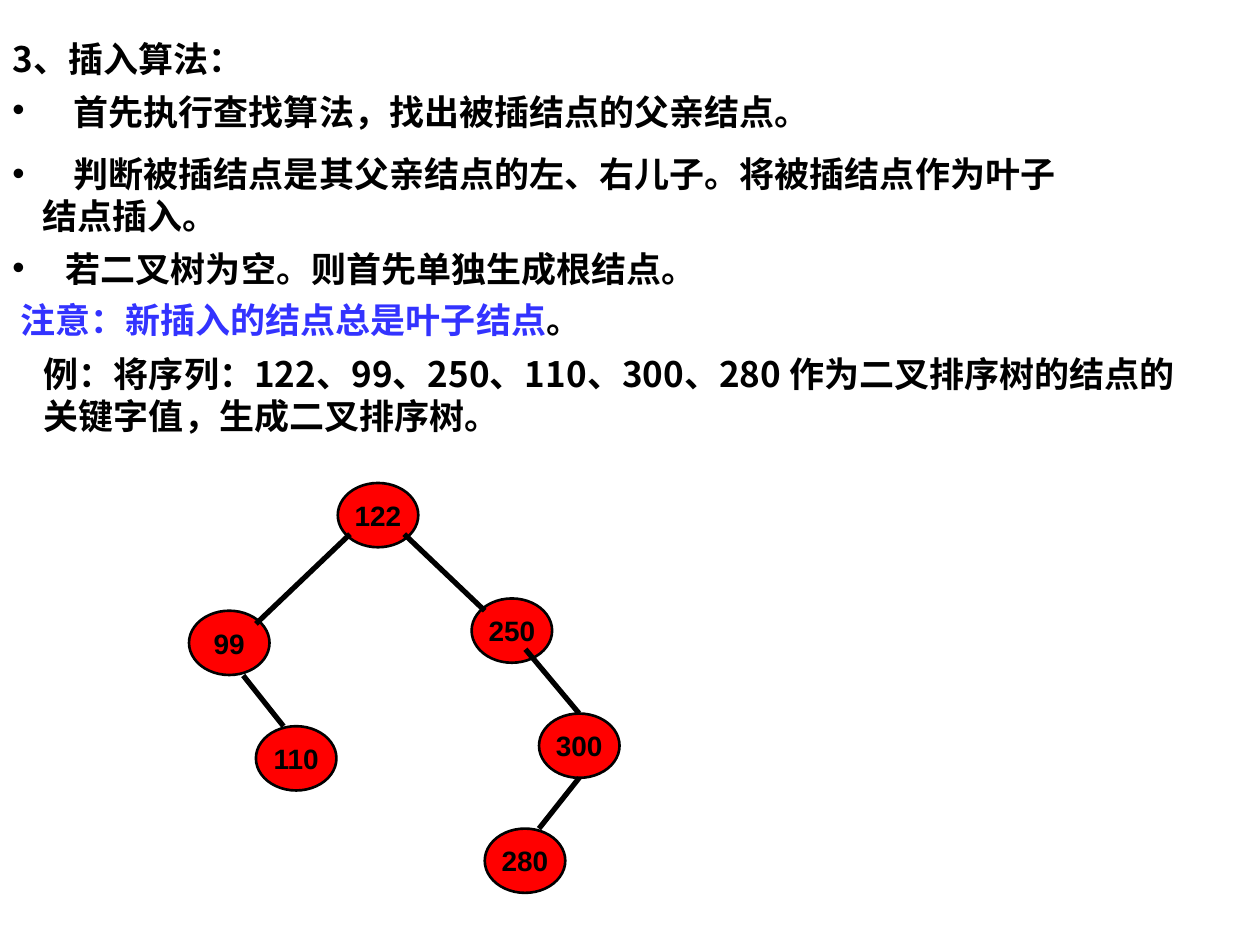
from dataclasses import dataclass
from typing import Optional

from lxml.etree import SubElement
from pptx import Presentation
from pptx.dml.color import RGBColor
from pptx.enum.shapes import MSO_CONNECTOR, MSO_SHAPE
from pptx.enum.text import MSO_ANCHOR, PP_ALIGN
from pptx.oxml.ns import qn
from pptx.util import Pt

COLORS = {"text": "000000", "note": "3333FF", "node": "FF0000", "line": "000000"}
CJK_FONT = "Noto Sans CJK SC"
NODE_FONT = "Arial"
NODE_WIDTH, NODE_HEIGHT = 46, 36.75
HANGING = 17


@dataclass(frozen=True)
class Line:
    runs: tuple[tuple[str, str], ...]
    spacing: Optional[float] = None
    bullet: bool = False
    text_start: float = 0
    margin: float = 0


@dataclass(frozen=True)
class Node:
    key: str
    left: float
    top: float


@dataclass(frozen=True)
class Edge:
    start: tuple[float, float]
    end: tuple[float, float]


RULES = (
    Line((("3、插入算法：", "text"),)),
    Line((("首先执行查找算法，找出被插结点的父亲结点。", "text"),), 0.7, True, 35, 35),
    Line((("判断被插结点是其父亲结点的左、右儿子。将被插结点作为叶子结点插入。", "text"),),
         None, True, 35, HANGING),
    Line((("若二叉树为空。则首先单独生成根结点。", "text"),), 0.7, True, 30.5, 30.5),
    Line((("注意：新插入的结点总是叶子结点", "note"), ("。", "text")), 0.7, margin=4.5),
)
EXAMPLE = (
    Line((("例：将序列：122、99、250、110、300、280 作为二叉排序树的结点的关键字值，生成二叉排序树。",
           "text"),)),
)
NODES = (
    Node("122", 193, 276),
    Node("99", 108, 349),
    Node("250", 269.5, 342),
    Node("300", 308, 407.75),
    Node("280", 277, 473.5),
    Node("110", 146.25, 415),
)
EDGES = (
    Edge((200, 305.25), (146.25, 356.5)),
    Edge((231, 305.25), (277, 349)),
    Edge((300.25, 371), (331, 407.75)),
    Edge((331, 444.5), (308, 473.5)),
    Edge((139, 386), (162, 415)),
)


def color(name: str) -> RGBColor:
    return RGBColor.from_string(COLORS[name])


def format_paragraph(paragraph, line: Line) -> None:
    properties = paragraph._p.get_or_add_pPr()
    properties.set("marL", str(Pt(line.margin)))
    properties.set("indent", str(Pt(-line.margin if line.bullet else 0)))
    if line.bullet:
        SubElement(properties, qn("a:buFont"), typeface="Arial")
        SubElement(properties, qn("a:buChar"), char="•")
    if line.text_start > line.margin:
        tabs = SubElement(properties, qn("a:tabLst"))
        SubElement(tabs, qn("a:tab"), pos=str(Pt(line.text_start)), algn="l")
    if line.spacing:
        paragraph.line_spacing = line.spacing
    paragraph.font.size = Pt(20)
    paragraph.font.bold = True
    paragraph.font.name = CJK_FONT


def add_text(slide, left: float, top: float, width: float, height: float,
             lines: tuple[Line, ...]) -> None:
    frame = slide.shapes.add_textbox(Pt(left), Pt(top), Pt(width), Pt(height)).text_frame
    frame.word_wrap = True
    for index, line in enumerate(lines):
        paragraph = frame.add_paragraph() if index else frame.paragraphs[0]
        format_paragraph(paragraph, line)
        if index:
            paragraph.space_before = Pt(12.5)
        if line.text_start > line.margin:
            paragraph.add_run().text = "\t"
        for text, color_name in line.runs:
            run = paragraph.add_run()
            run.text = text
            run.font.color.rgb = color(color_name)
        for run in paragraph.runs:
            SubElement(run._r.get_or_add_rPr(), qn("a:ea"), typeface=CJK_FONT)


def add_node(slide, node: Node) -> None:
    shape = slide.shapes.add_shape(MSO_SHAPE.OVAL, Pt(node.left), Pt(node.top),
                                   Pt(NODE_WIDTH), Pt(NODE_HEIGHT))
    shape.shadow.inherit = False
    shape.fill.solid()
    shape.fill.fore_color.rgb = color("node")
    shape.line.color.rgb = color("line")
    shape.line.width = Pt(1.5)
    frame = shape.text_frame
    frame.word_wrap = False
    frame.vertical_anchor = MSO_ANCHOR.MIDDLE
    paragraph = frame.paragraphs[0]
    paragraph.text = node.key
    paragraph.alignment = PP_ALIGN.CENTER
    paragraph.font.size = Pt(16)
    paragraph.font.bold = True
    paragraph.font.name = NODE_FONT
    paragraph.font.color.rgb = color("text")


def add_edge(slide, edge: Edge) -> None:
    connector = slide.shapes.add_connector(
        MSO_CONNECTOR.STRAIGHT, *(Pt(value) for value in edge.start + edge.end))
    connector.line.color.rgb = color("line")
    connector.line.width = Pt(3)
    SubElement(connector._element.spPr, qn("a:effectLst"))


def main() -> None:
    presentation = Presentation()
    presentation.slide_width, presentation.slide_height = Pt(720), Pt(540)
    slide = presentation.slides.add_slide(presentation.slide_layouts[6])
    add_text(slide, 0, 18, 624, 180, RULES)
    add_text(slide, 18, 198, 678, 55.5, EXAMPLE)
    for node in NODES:
        add_node(slide, node)
    for edge in EDGES:
        add_edge(slide, edge)
    presentation.save("out.pptx")


if __name__ == "__main__":
    main()
